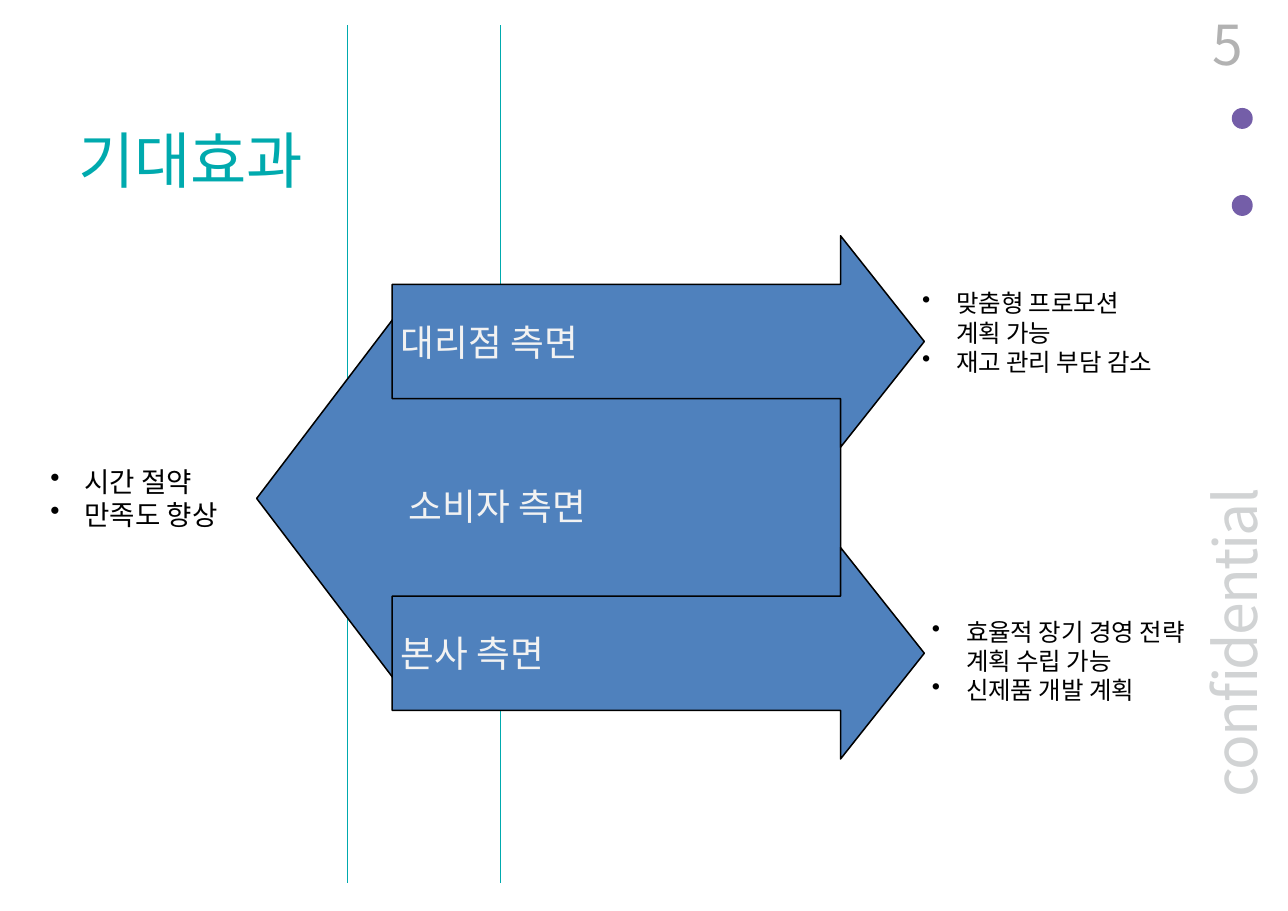
from dataclasses import dataclass
from lxml import etree
from pptx import Presentation
from pptx.dml.color import RGBColor as RGB
from pptx.enum.shapes import MSO_CONNECTOR as Conn, MSO_SHAPE as Kind
from pptx.enum.text import MSO_ANCHOR as Anchor, PP_ALIGN as Align
from pptx.oxml.ns import qn
from pptx.util import Inches, Pt


@dataclass(frozen=True)
class Theme:
    """Colours, type sizes and font of the slide."""
    font: str = "Noto Sans CJK KR"
    teal: str = "00AAAE"
    violet: str = "745EA8"
    blue: str = "4F81BD"
    black: str = "000000"
    pale: str = "F2F2F2"
    mist: str = "D1D3D4"
    gray: str = "B2B2B2"
    title: float = 40
    side: float = 38.5
    page: float = 36
    label: float = 24
    large: float = 18
    small: float = 16


T = Theme()


def rgb(code):
    """Turn a hex code into a colour."""
    return RGB.from_string(code)


def style(para, size, color):
    """Set the font of a paragraph, Korean glyphs included; return its XML."""
    font = para.font
    font.size = Pt(size)
    font.color.rgb = rgb(color)
    font.name = T.font
    props = para._p.pPr.find(qn("a:defRPr"))
    latin = props.find(qn("a:latin"))
    east = etree.Element(qn("a:ea"), typeface=T.font)
    latin.addnext(east)
    return props


def inset(frame, left=0, top=0, right=0, bottom=0):
    """Set the inner margins of a text frame."""
    frame.margin_left, frame.margin_right = Inches(left), Inches(right)
    frame.margin_top, frame.margin_bottom = Inches(top), Inches(bottom)


def add_text(slide, box, text, size, color):
    """Add one line of text without margins; return shape, paragraph, font XML."""
    shape = slide.shapes.add_textbox(*map(Inches, box))
    frame = shape.text_frame
    frame.word_wrap = True
    inset(frame)
    para = frame.paragraphs[0]
    para.text = text
    return shape, para, style(para, size, color)


def add_rules(slide, box):
    """Draw the thin upright lines at both sides of the box."""
    left, top, width, height = box
    for x in (left, left + width):
        rule = slide.shapes.add_connector(
            Conn.STRAIGHT, *map(Inches, (x, top, x, top + height)))
        rule.line.color.rgb = rgb(T.teal)
        rule.line.width = Pt(0.26)
        etree.SubElement(rule._element.spPr, qn("a:effectLst"))


def add_dots(slide, box):
    """Put one dot at the top and one at the bottom of the box."""
    left, top, size, height = box
    for y in (top, top + height - size):
        dot = slide.shapes.add_shape(Kind.OVAL, *map(Inches, (left, y, size, size)))
        dot.shadow.inherit = False
        dot.fill.solid()
        dot.fill.fore_color.rgb = rgb(T.violet)
        dot.line.fill.background()


def add_title(slide, box, text):
    """Write the slide title."""
    _, para, _ = add_text(slide, box, text, T.title, T.teal)
    para.line_spacing = Pt(24)


def add_side(slide, box, text):
    """Write the upright mark at the right edge."""
    shape, para, props = add_text(slide, box, text, T.side, T.mist)
    shape.rotation = 270
    para.line_spacing = Pt(T.side)
    props.set("spc", "-120")


def add_page(slide, box, text):
    """Write the page number."""
    shape, para, _ = add_text(slide, box, text, T.page, T.gray)
    para.alignment = Align.RIGHT
    shape.text_frame.vertical_anchor = Anchor.MIDDLE
    inset(shape.text_frame, 0.1, 0.05, 0.1, 0.05)


def add_arrow(slide, box, kind, head, text=""):
    """Draw a block arrow, with a label at its left if text is given."""
    arrow = slide.shapes.add_shape(kind, *map(Inches, box))
    arrow.shadow.inherit = False
    arrow.adjustments[0], arrow.adjustments[1] = 0.54, head
    arrow.fill.solid()
    arrow.fill.fore_color.rgb = rgb(T.blue)
    arrow.line.color.rgb = rgb(T.black)
    arrow.line.width = Pt(1)
    if text:
        frame = arrow.text_frame
        frame.vertical_anchor = Anchor.MIDDLE
        inset(frame, left=0.08)
        para = frame.paragraphs[0]
        para.text = text
        para.alignment = Align.LEFT
        style(para, T.label, T.pale)


def add_arrows(slide, box):
    """Lay two right arrows over the ends of one large left arrow."""
    left, top, width, height = box
    inner, tall = 1.23, 1.92
    add_arrow(slide, (left, top + 0.68, 5.3, 3.41), Kind.LEFT_ARROW, 0.38)
    add_text(slide, (left + 1.38, top + 2.25, 3.67, 0.27),
             "소비자 측면", T.label, T.pale)
    for y, text in ((top + height - tall, "본사 측면"), (top, "대리점 측면")):
        add_arrow(slide, (left + inner, y, width - inner, tall),
                  Kind.RIGHT_ARROW, 0.396, text)


def add_list(slide, box, items, size):
    """Write a bulleted list with hanging indents."""
    frame = slide.shapes.add_textbox(*map(Inches, box)).text_frame
    frame.word_wrap = True
    frame.text = "\n".join(items)
    for para in frame.paragraphs:
        props = style(para, size, T.black)
        props.addprevious(etree.Element(qn("a:buChar"), char="•"))
        hang = Inches(0.31)
        para._p.pPr.set("marL", str(hang))
        para._p.pPr.set("indent", str(-hang))


def build():
    """Build the slide and save it."""
    deck = Presentation()
    deck.slide_width, deck.slide_height = Inches(11.69), Inches(8.27)
    slide = deck.slides.add_slide(deck.slide_layouts[6])
    add_rules(slide, (3.15, 0.23, 1.39, 7.79))
    add_dots(slide, (11.18, 0.98, 0.19, 0.98))
    add_title(slide, (0.71, 1.44, 2.63, 0.5), "기대효과")
    add_side(slide, (9.94, 5.41, 2.87, 0.78), "confidential")
    add_page(slide, (8.38, 0.2, 3, 0.39), "5")
    add_arrows(slide, (2.33, 2.14, 6.06, 4.75))
    add_list(slide, (0.36, 4.17, 1.87, 0.71),
             ("시간 절약", "만족도 향상"), T.large)
    add_list(slide, (8.27, 2.57, 2.55, 0.91),
             ("맞춤형 프로모션\v계획 가능", "재고 관리 부담 감소"), T.small)
    add_list(slide, (8.36, 5.55, 2.85, 0.91),
             ("효율적 장기 경영 전략\v계획 수립 가능", "신제품 개발 계획"), T.small)
    deck.save("out.pptx")


build()
